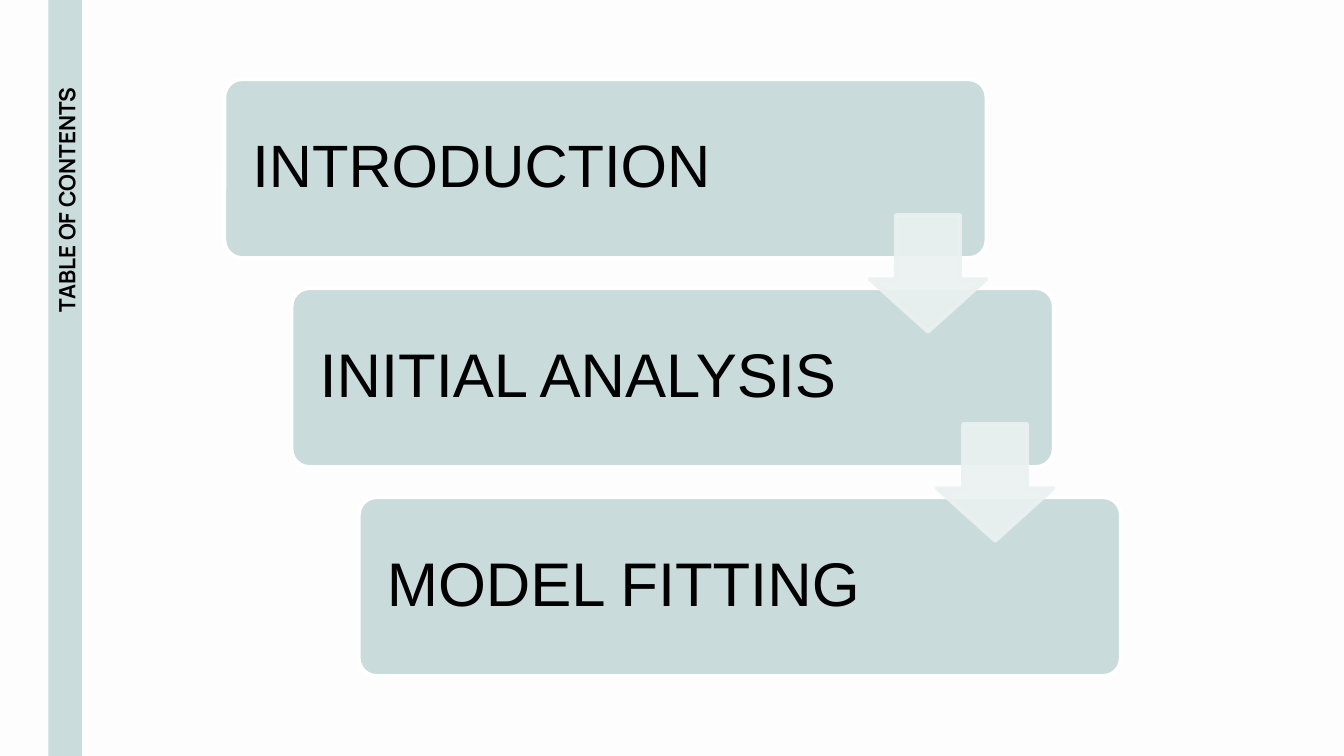
from lxml.etree import SubElement
from pptx import Presentation
from pptx.dml.color import RGBColor
from pptx.enum.shapes import MSO_SHAPE as Preset
from pptx.enum.text import MSO_ANCHOR as Anchor, MSO_AUTO_SIZE as AutoSize, PP_ALIGN as Align
from pptx.oxml.ns import qn
from pptx.util import Inches, Pt

HEADING = "TABLE OF CONTENTS"
SECTIONS = [("INTRODUCTION", 32), ("INITIAL ANALYSIS", 33), ("MODEL FITTING", 33)]

PAPER, BAR, STEP, ARROW = "FDFDFD", "CADCDC", "CADBDB", "EBF1F1"
WHITE, BLACK = "FFFFFF", "000000"

SLIDE_WIDTH = 10
SLIDE_HEIGHT = SLIDE_WIDTH * 9 / 16
STEP_LEFT, STEP_TOP, STEP_WIDTH, STEP_HEIGHT = 1.67, 0.59, 5.67, 1.33
LAST_STEP_TOP = 3.7
SHIFT_X, SHIFT_Y = 0.5, (LAST_STEP_TOP - STEP_TOP) / (len(SECTIONS) - 1)
ARROW_LEFT, ARROW_TOP, ARROW_SIZE = 6.47, 1.6, 0.87


def paint(color_format, color):
    color_format.rgb = RGBColor.from_string(color)


def place(shape, left, top, width, height):
    shape.left, shape.top = Inches(left), Inches(top)
    shape.width, shape.height = Inches(width), Inches(height)


def add_block(slide, preset, box, color, outline=None, adjustments=()):
    block = slide.shapes.add_shape(preset, *map(Inches, box))
    block.shadow.inherit = False
    for index, value in enumerate(adjustments):
        block.adjustments[index] = value
    block.fill.solid()
    paint(block.fill.fore_color, color)
    if outline:
        block.line.width = Pt(2)
        paint(block.line.color, outline)
    else:
        block.line.fill.background()
    return block


def write(shape, text, font_name, size, align, inset, bold=False):
    frame = shape.text_frame
    frame.auto_size = AutoSize.NONE
    frame.word_wrap = True
    frame.vertical_anchor = Anchor.MIDDLE
    frame.margin_left = frame.margin_right = Inches(inset)
    frame.margin_top = frame.margin_bottom = Inches(inset)
    paragraph = frame.paragraphs[0]
    paragraph.alignment = align
    run = paragraph.add_run()
    run.text = text
    run.font.name, run.font.size, run.font.bold = font_name, Pt(size), bold
    paint(run.font.color, BLACK)
    return paragraph


def set_opacity(shape, percent):
    for color in shape._element.spPr.iter(qn("a:srgbClr")):
        SubElement(color, qn("a:alpha"), val=str(percent * 1000))


def main():
    deck = Presentation()
    deck.slide_width, deck.slide_height = Inches(SLIDE_WIDTH), Inches(SLIDE_HEIGHT)
    slide = deck.slides.add_slide(deck.slide_layouts[5])
    slide.background.fill.solid()
    paint(slide.background.fill.fore_color, PAPER)

    title = slide.shapes.title
    place(title, -1.86, 2.79, 4.71, 0.23)
    title.rotation = 270
    write(title, HEADING, "Manrope", 12, Align.RIGHT, 0.1, bold=True)
    bar = add_block(slide, Preset.RECTANGLE, (0.36, -0.05, 0.25, 5.73), BAR)
    title._element.addprevious(bar._element)

    for index, (section, size) in enumerate(SECTIONS):
        box = (STEP_LEFT + index * SHIFT_X, STEP_TOP + index * SHIFT_Y, STEP_WIDTH, STEP_HEIGHT)
        step = add_block(slide, Preset.ROUNDED_RECTANGLE, box, STEP, WHITE, [0.1])
        write(step, section, "Arial", size, Align.LEFT, 0.17).line_spacing = 0.9

    for index in range(len(SECTIONS) - 1):
        box = (ARROW_LEFT + index * SHIFT_X, ARROW_TOP + index * SHIFT_Y, ARROW_SIZE, ARROW_SIZE)
        arrow = add_block(slide, Preset.DOWN_ARROW, box, ARROW, ARROW, [0.55, 0.45])
        set_opacity(arrow, 90)

    deck.save("out.pptx")


if __name__ == "__main__":
    main()
